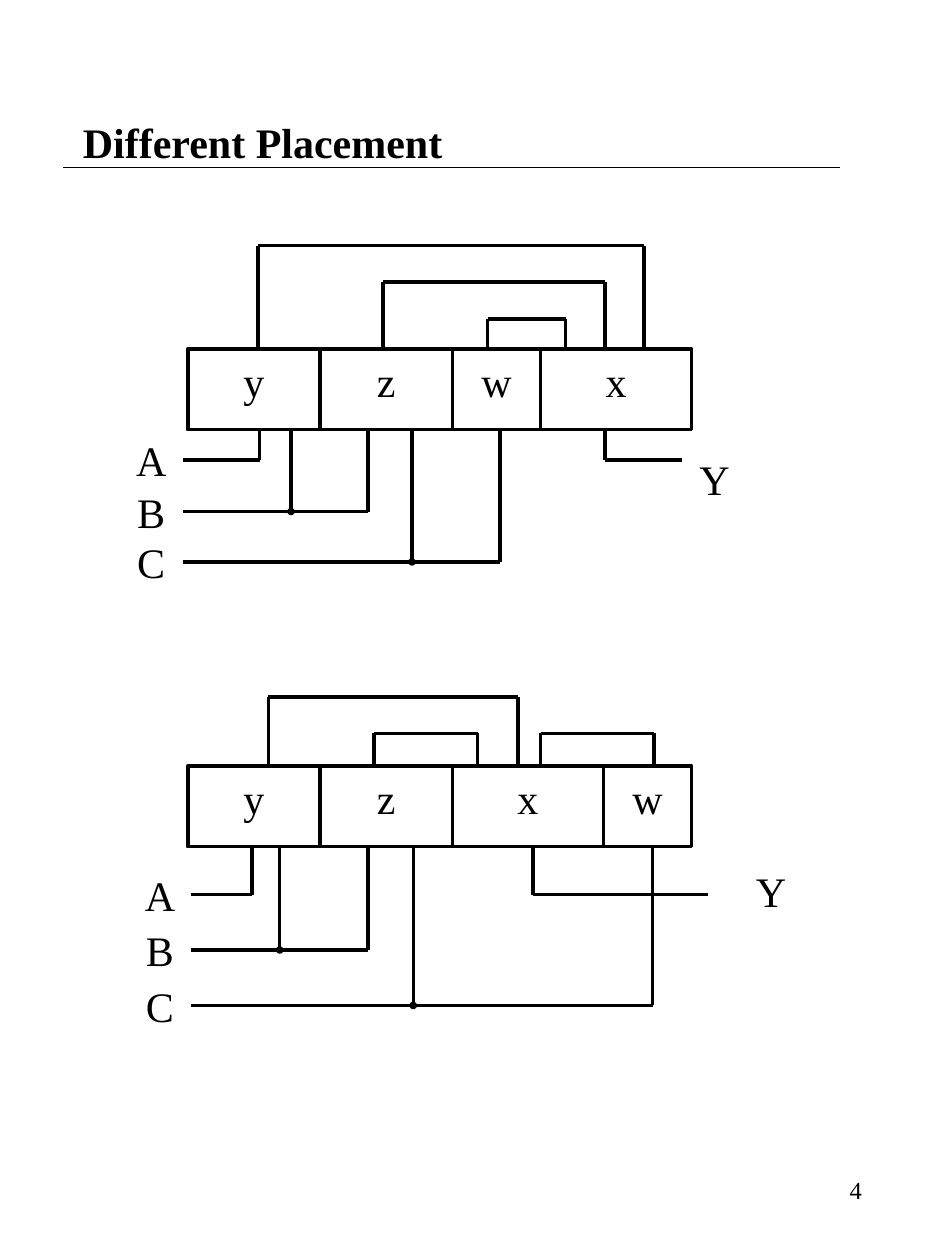
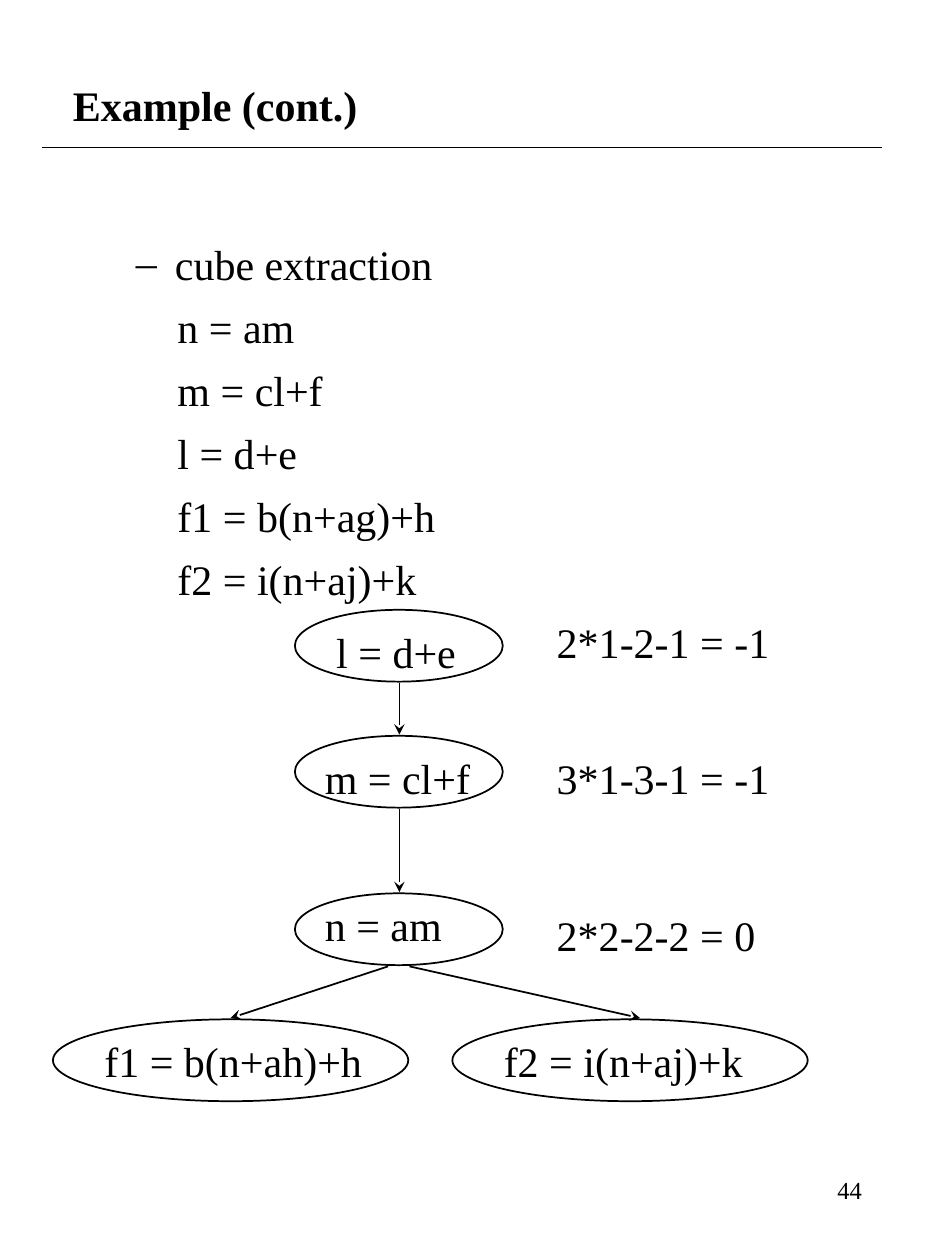
from lxml.etree import SubElement
from pptx import Presentation
from pptx.dml.color import RGBColor
from pptx.enum.shapes import MSO_CONNECTOR, MSO_SHAPE
from pptx.enum.text import MSO_ANCHOR, PP_ALIGN
from pptx.oxml.ns import qn
from pptx.util import Inches, Pt

COLORS = {"ink": "000000", "paper": "FFFFFF"}
FONT = "Times New Roman"
CELL_WIDTHS = {"y": 1.05, "z": 1.05, "w": 0.7, "x": 1.2}
CELL_HEIGHT = 0.64
ROW_LEFT = 0.49


def rgb(name):
    """Return a named colour."""
    return RGBColor.from_string(COLORS[name])


def write(tf, lines, size=24, bold=False, align=PP_ALIGN.LEFT,
          anchor=MSO_ANCHOR.TOP, wrap=True, gap=0):
    """Fill a text frame with one paragraph per line."""
    tf.word_wrap = wrap
    tf.vertical_anchor = anchor
    tf.margin_left = tf.margin_right = Inches(0.1)
    tf.margin_top = tf.margin_bottom = Inches(0.05)
    for i, line in enumerate(lines):
        p = tf.paragraphs[0] if i == 0 else tf.add_paragraph()
        p.alignment = align
        if i and gap:
            p.space_before = Pt(gap)
        r = p.add_run()
        r.text = line
        r.font.name = FONT
        r.font.size = Pt(size)
        r.font.bold = bold
        r.font.color.rgb = rgb("ink")


def add_text(slide, box, *lines, **fmt):
    """Add a text box."""
    sp = slide.shapes.add_textbox(*map(Inches, box))
    write(sp.text_frame, lines, **fmt)
    return sp


def add_shape(slide, kind, box, fill="paper", width=1):
    """Add a flat shape, outlined unless its width is 0."""
    sp = slide.shapes.add_shape(kind, *map(Inches, box))
    sp.shadow.inherit = False
    sp.fill.solid()
    sp.fill.fore_color.rgb = rgb(fill)
    if width:
        sp.line.color.rgb = rgb("ink")
        sp.line.width = Pt(width)
    else:
        sp.line.fill.background()
    return sp


def add_line(slide, start, end, width=1, arrow=False):
    """Add a straight line, with an arrowhead at its end if asked."""
    cn = slide.shapes.add_connector(
        MSO_CONNECTOR.STRAIGHT, *map(Inches, (*start, *end)))
    cn.line.color.rgb = rgb("ink")
    cn.line.width = Pt(width)
    if arrow:
        SubElement(cn.line._get_or_add_ln(), qn("a:tailEnd"), type="stealth")
    SubElement(cn._element.spPr, qn("a:effectLst"))
    return cn


def add_frame(slide, title, title_box, rule, number):
    """Add the title, its rule and the page number."""
    left, right, y = rule
    add_text(slide, title_box, title, bold=True, anchor=MSO_ANCHOR.MIDDLE)
    add_line(slide, (left, y), (right, y))
    add_text(slide, (5.38, 9.11, 1.56, 0.67), number, size=14,
             align=PP_ALIGN.RIGHT, anchor=MSO_ANCHOR.MIDDLE)


def add_circuit(slide, origin, row_top, cells, bridges, start, inputs, output):
    """Draw a row of cells with bridges above and input and output nets below."""
    left, top = origin
    row_bottom = row_top + CELL_HEIGHT

    def wire(*points):
        for (x1, y1), (x2, y2) in zip(points, points[1:]):
            add_line(slide, (left + x1, top + y1), (left + x2, top + y2), 2)

    def label(text, x, y):
        add_text(slide, (left + x, top + y, 0.44, 0.5), text,
                 wrap=False, align=PP_ALIGN.CENTER)

    x = ROW_LEFT
    for name in cells:
        box = (left + x, top + row_top, CELL_WIDTHS[name], CELL_HEIGHT)
        sp = add_shape(slide, MSO_SHAPE.RECTANGLE, box, width=2)
        write(sp.text_frame, [name], align=PP_ALIGN.CENTER)
        x += CELL_WIDTHS[name]

    for x1, x2, y in bridges:
        wire((x1, row_top), (x1, y), (x2, y), (x2, row_top))

    for name, y, pins in inputs:
        label(name, start - 0.47, y - 0.25)
        wire((start, y), (pins[-1], y), (pins[-1], row_bottom))
        for pin in pins[:-1]:
            wire((pin, row_bottom), (pin, y))
            add_shape(slide, MSO_SHAPE.OVAL,
                      (left + pin - 0.03, top + y - 0.03, 0.06, 0.06), "ink", 0)

    pin, y, end, label_x, label_y = output
    wire((pin, row_bottom), (pin, y), (end, y))
    label("Y", label_x, label_y)


def add_equations(slide, box):
    """Add the dashed heading with the indented equations under it."""
    sp = slide.shapes.add_textbox(*map(Inches, box))
    tf = sp.text_frame
    write(tf, ["cube extraction", "n = am", "m = cl+f", "l = d+e",
               "f1 = b(n+ag)+h", "f2 = i(n+aj)+k"], gap=7.2)
    for i, p in enumerate(tf.paragraphs):
        pPr = p._p.get_or_add_pPr()
        pPr.set("marL", str(Inches(0.83 if i else 0.81)))
        pPr.set("indent", str(Inches(0 if i else -0.31)))
        if i == 0:
            SubElement(pPr, qn("a:buFont"), typeface=FONT)
            SubElement(pPr, qn("a:buChar"), char="–")


def add_network(slide, origin):
    """Draw the network of nodes with their values and arrows."""
    left, top = origin
    chain, leaf = (1.65, 0.57), (2.82, 0.65)
    nodes = [
        ("l = d+e", (1.92, 0), chain, (0.23, 0.08, 1.15)),
        ("m = cl+f", (1.92, 1), chain, (0.14, 0.08, 1.36)),
        ("n = am", (1.92, 2.25), chain, (0.14, 0, 1.13)),
        ("f1 = b(n+ah)+h", (0, 3.25), leaf, (0.31, 0.08, 2.25)),
        ("f2 = i(n+aj)+k", (3.17, 3.25), leaf, (0.31, 0.08, 2.1)),
    ]
    for text, (x, y), size, (dx, dy, width) in nodes:
        add_shape(slide, MSO_SHAPE.OVAL, (left + x, top + y, *size))
        add_text(slide, (left + x + dx, top + y + dy, width, 0.5), text,
                 wrap=False)

    arrows = [((2.75, 0.58), (2.75, 0.99)), ((2.75, 1.58), (2.75, 2.24)),
              ((2.66, 2.83), (1.41, 3.24)), ((2.83, 2.83), (4.66, 3.24))]
    for (x1, y1), (x2, y2) in arrows:
        add_line(slide, (left + x1, top + y1), (left + x2, top + y2), arrow=True)

    values = [("2*1-2-1 = -1", 0), ("3*1-3-1 = -1", 1.08), ("2*2-2-2 = 0", 2.33)]
    for text, y in values:
        add_text(slide, (left + 3.9, top + y, 1.89, 0.5), text, wrap=False)


def placement_slide(prs):
    """Build the slide with two placements of the same cells."""
    s = prs.slides.add_slide(prs.slide_layouts[6])
    add_frame(s, "Different Placement", (0.56, 0.5, 6.37, 1.25),
              (0.5, 6.67, 1.33), "4")
    add_circuit(
        s, (1, 1.95), 0.82, "yzwx",
        bridges=[(1.05, 4.11, 0), (2.04, 3.8, 0.29), (2.87, 3.49, 0.58)],
        start=0.45,
        inputs=[("A", 1.7, [1.06]), ("B", 2.11, [1.31, 1.92]),
                ("C", 2.51, [2.27, 2.97])],
        output=(3.8, 1.7, 4.41, 4.45, 1.6))
    add_circuit(
        s, (1, 5.53), 0.55, "yzxw",
        bridges=[(1.13, 3.11, 0), (1.97, 2.79, 0.29), (3.29, 4.19, 0.29)],
        start=0.52,
        inputs=[("A", 1.57, [1]), ("B", 2.01, [1.22, 1.92]),
                ("C", 2.45, [2.28, 4.18])],
        output=(3.23, 1.57, 4.62, 4.9, 1.29))


def example_slide(prs):
    """Build the slide with the cube extraction example."""
    s = prs.slides.add_slide(prs.slide_layouts[6])
    add_frame(s, "Example (cont.)", (0.48, 0, 6.38, 1.67),
              (0.33, 7, 1.17), "44")
    add_equations(s, (0.48, 1.84, 6.38, 6))
    add_network(s, (0.42, 4.84))


def main():
    """Build and save the presentation."""
    prs = Presentation()
    prs.slide_width, prs.slide_height = Inches(7.5), Inches(10)
    placement_slide(prs)
    example_slide(prs)
    prs.save("out.pptx")


if __name__ == "__main__":
    main()
